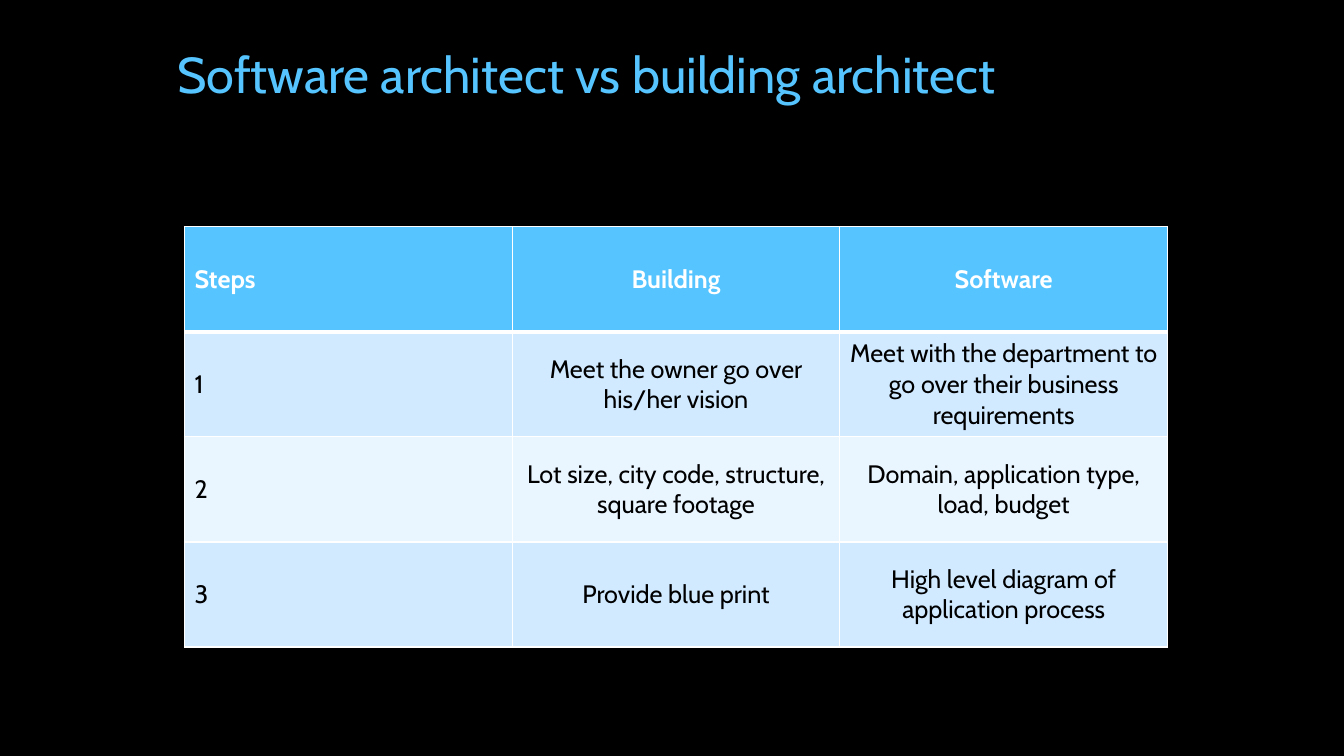
import pptx
import pptx.util
import pptx.dml.color
import pptx.enum.text
import pptx.oxml.ns
import lxml.etree

Inches = pptx.util.Inches
ALIGN = pptx.enum.text.PP_ALIGN
ANCHOR = pptx.enum.text.MSO_ANCHOR
FONT = "Cabin"
COLORS = {
    "background": "000000",
    "accent": "56C5FF",
    "band_dark": "D1EAFF",
    "band_light": "E9F5FF",
    "white": "FFFFFF",
    "black": "000000",
}


def add_span(para, text, size, color, bold=False):
    span = para.add_run()
    span.text = text
    span.font.name = FONT
    span.font.size = pptx.util.Pt(size)
    span.font.bold = bold
    span.font.color.rgb = pptx.dml.color.RGBColor.from_string(COLORS[color])


def add_border(cell, side, points):
    qn = pptx.oxml.ns.qn
    line = lxml.etree.Element(qn("a:" + side), w=str(pptx.util.Pt(points)))
    fill = lxml.etree.SubElement(line, qn("a:solidFill"))
    lxml.etree.SubElement(fill, qn("a:srgbClr"), val=COLORS["white"])
    return cell._tc.get_or_add_tcPr().append(line)


# Deck and page
deck = pptx.Presentation()
deck.slide_width = Inches(13.33)
deck.slide_height = Inches(7.5)
page = deck.slides.add_slide(deck.slide_layouts[6])
page.background.fill.solid()
page.background.fill.fore_color.rgb = pptx.dml.color.RGBColor.from_string(COLORS["background"])

# Comparison table
rows = [
    ("Steps", "Building", "Software"),
    ("1", "Meet the owner go over his/her vision",
     "Meet with the department to go over their business requirements"),
    ("2", "Lot size, city code, structure, square footage",
     "Domain, application type, load, budget"),
    ("3", "Provide blue print", "High level diagram of application process"),
]
row_fills = ["accent", "band_dark", "band_light", "band_dark"]
table = page.shapes.add_table(
    len(rows), len(rows[0]), Inches(1.83), Inches(2.25), Inches(9.75), Inches(4.17)).table

for row_index, texts in enumerate(rows):
    header = row_index == 0
    for column_index, text in enumerate(texts):
        cell = table.cell(row_index, column_index)
        cell.vertical_anchor = ANCHOR.MIDDLE
        para = cell.text_frame.paragraphs[0]
        para.alignment = ALIGN.LEFT if column_index == 0 else ALIGN.CENTER
        add_span(para, text, 18, "white" if header else "black", header)

        # Borders go before the fill; a thick rule sits under the header
        add_border(cell, "lnL", 1)
        add_border(cell, "lnR", 1)
        add_border(cell, "lnT", 3 if row_index == 1 else 1)
        add_border(cell, "lnB", 3 if header else 1)
        cell.fill.solid()
        cell.fill.fore_color.rgb = pptx.dml.color.RGBColor.from_string(
            COLORS[row_fills[row_index]])

# Title
box = page.shapes.add_textbox(Inches(1.66), Inches(0.42), Inches(10), Inches(0.67))
box.text_frame.word_wrap = True
box.text_frame.vertical_anchor = ANCHOR.BOTTOM
para = box.text_frame.paragraphs[0]
para.line_spacing = 0.9
add_span(para, "Software architect vs building architect", 36, "accent")

deck.save("out.pptx")
